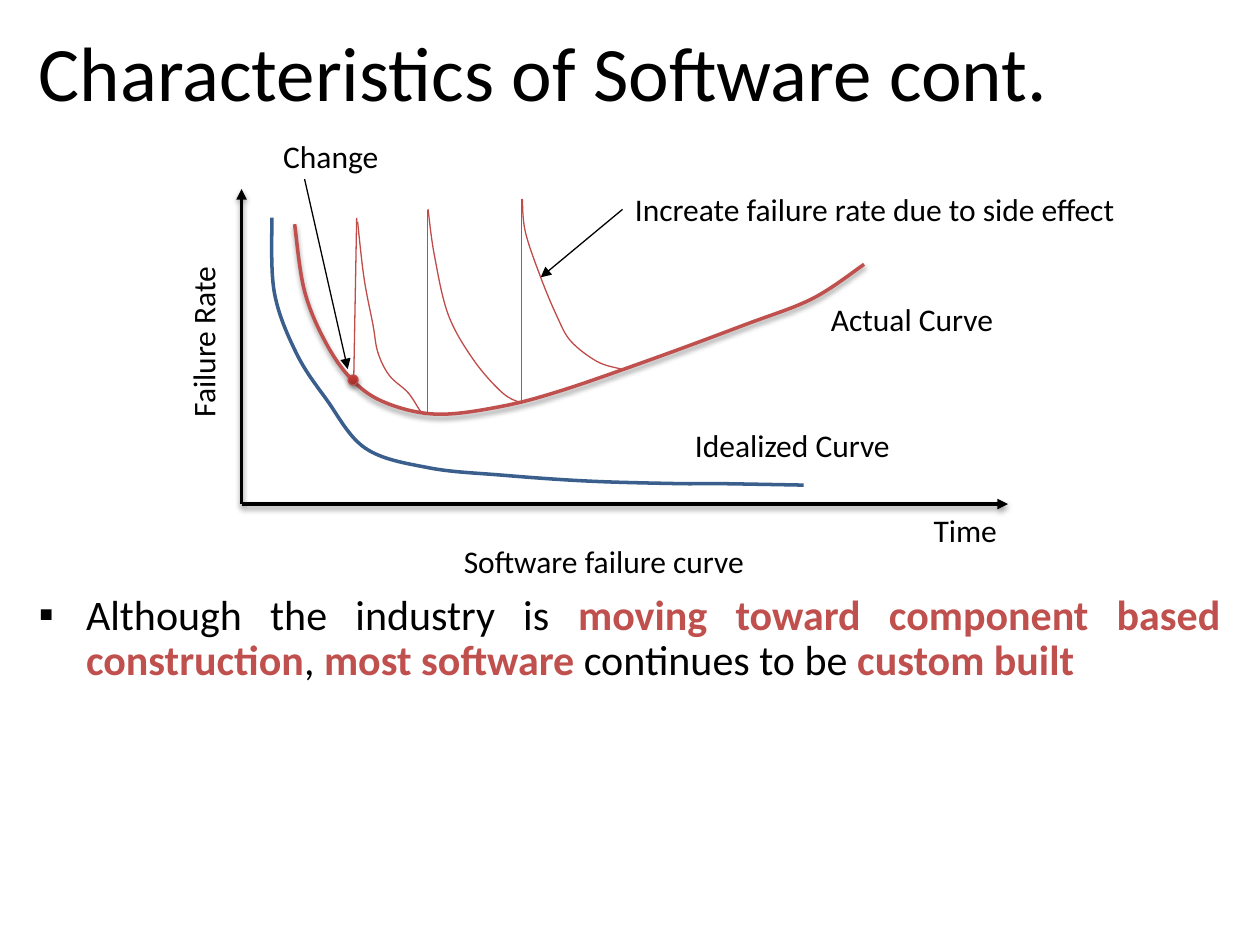
from lxml import etree
from pptx import Presentation
from pptx import util as u
from pptx.dml.color import RGBColor
from pptx.enum import shapes, text
from pptx.oxml import ns

BLACK = RGBColor(0x00, 0x00, 0x00)
BLUE = RGBColor(0x3A, 0x5F, 0x8C)
RED = RGBColor(0xC0, 0x50, 0x4D)
THIN_RED = RGBColor(0xBF, 0x4C, 0x48)
DOT_DARK = RGBColor(0x9C, 0x2F, 0x2D)
DOT_LIGHT = RGBColor(0xCE, 0x3B, 0x37)

ORIGIN = (4.87, 10.16)
CHANGE_POINT = (7.12, 7.66)
IDEALIZED = [(5.48, 4.39), (5.53, 5.89), (5.97, 7.11), (6.58, 8.05), (7.37, 9.04), (8.64, 9.43),
             (10.13, 9.58), (11.86, 9.7), (13.67, 9.75), (14.48, 9.75), (16.2, 9.78)]
ACTUAL = [(5.94, 4.52), (6.14, 5.87), (6.58, 6.93), (7.13, 7.69), (7.8, 8.13), (8.81, 8.35),
          (10.08, 8.2), (11.33, 7.87), (13.23, 7.21), (15.01, 6.55), (16.38, 6.02), (17.42, 5.33)]
# Each spike: foot and top of the rise, then the decay curve
SPIKES = [
    ((7.13, 7.69), (7.19, 4.39),
     [(7.21, 4.47), (7.34, 5.61), (7.52, 6.55), (7.62, 7.11), (7.85, 7.57), (8.23, 7.92),
      (8.51, 8.33), (8.64, 8.33)]),
    ((8.62, 8.33), (8.62, 4.24),
     [(8.63, 4.22), (8.76, 5.16), (9.04, 6.35), (9.55, 7.26), (10.13, 7.92), (10.52, 8.13)]),
    ((10.51, 8.13), (10.51, 4.01),
     [(10.53, 4.01), (10.59, 4.67), (10.9, 5.59), (11.23, 6.38), (11.51, 6.88), (12.04, 7.29),
      (12.52, 7.44)]),
]
LABELS = [  # text, left, top, width, rotation
    ("Time", 18.57, 10.17, 1.8, 0),
    ("Failure Rate", 2.31, 6.36, 3.58, 270),
    ("Increate failure rate due to side effect", 12.55, 3.71, 10.31, 0),
    ("Change", 5.46, 2.63, 2.46, 0),
    ("Software failure curve", 9.1, 10.8, 6.25, 0),
    ("Idealized Curve", 13.76, 8.46, 4.5, 0),
    ("Actual Curve", 16.5, 5.92, 3.81, 0),
]


class SlideBuilder:
    font = "Calibri"
    label_size = 18

    def __init__(self, slide):
        self.s = slide

    def run(self, p, words, size, color=BLACK, bold=False):
        r = p.add_run()
        r.text = words
        r.font.name, r.font.size, r.font.bold = self.font, u.Pt(size), bold
        r.font.color.rgb = color

    def effects(self, sp, shadow):
        """Replace inherited effects by a soft downward shadow, or by none."""
        props = sp._element.spPr
        for old in props.findall(ns.qn("a:effectLst")):
            props.remove(old)
        effects = etree.SubElement(props, ns.qn("a:effectLst"))
        if shadow:
            outer = etree.SubElement(effects, ns.qn("a:outerShdw"), blurRad=str(u.Pt(3.1)),
                                     dist=str(u.Pt(1.6)), dir="5400000", rotWithShape="0")
            color = etree.SubElement(outer, ns.qn("a:srgbClr"), val="000000")
            etree.SubElement(color, ns.qn("a:alpha"), val="38000")

    def outline(self, sp, color, width, shadow):
        sp.line.color.rgb = color
        sp.line.width = u.Pt(width)
        self.effects(sp, shadow)

    def line(self, start, end, color=BLACK, width=0.75, arrow=False, shadow=False):
        sp = self.s.shapes.add_connector(shapes.MSO_CONNECTOR.STRAIGHT,
                                         *(u.Cm(v) for v in (*start, *end)))
        self.outline(sp, color, width, shadow)
        if arrow:
            etree.SubElement(sp.line._get_or_add_ln(), ns.qn("a:tailEnd"), type="triangle")

    def bend(self, sp):
        """Turn the straight segments of a freeform into smooth Bezier curves."""
        nodes = list(sp._element.iter(ns.qn("a:pt")))
        pts = [(int(n.get("x")), int(n.get("y"))) for n in nodes]
        padded = [pts[0], *pts, pts[-1]]
        segments = sp._element.iter(ns.qn("a:lnTo"))
        for seg, a, b, c, d in zip(list(segments), padded, padded[1:], padded[2:], padded[3:]):
            seg.tag = ns.qn("a:cubicBezTo")
            leave = [q + (r - p) / 6 for p, q, r in zip(a, b, c)]
            arrive = [r - (s - q) / 6 for q, r, s in zip(b, c, d)]
            for i, (x, y) in enumerate((leave, arrive)):
                seg.insert(i, etree.Element(ns.qn("a:pt"), x=str(round(x)), y=str(round(y))))

    def curve(self, points, color, width=0.75, shadow=False):
        first, *rest = [(u.Cm(x), u.Cm(y)) for x, y in points]
        builder = self.s.shapes.build_freeform(*first)
        builder.add_line_segments(rest, close=False)
        sp = builder.convert_to_shape()
        self.bend(sp)
        sp.fill.background()
        self.outline(sp, color, width, shadow)

    def dot(self, center, size):
        left, top = (u.Cm(v - size / 2) for v in center)
        sp = self.s.shapes.add_shape(shapes.MSO_SHAPE.OVAL, left, top, u.Cm(size), u.Cm(size))
        sp.fill.gradient()
        sp.fill.gradient_angle = 90
        for stop, color in zip(sp.fill.gradient_stops, (DOT_DARK, DOT_LIGHT)):
            stop.color.rgb = color
        self.outline(sp, THIN_RED, 0.75, True)

    def label(self, words, left, top, width, rotation):
        sp = self.s.shapes.add_textbox(u.Cm(left), u.Cm(top), u.Cm(width), u.Cm(1.03))
        sp.rotation = rotation
        tf = sp.text_frame
        tf.word_wrap = False
        tf.auto_size = text.MSO_AUTO_SIZE.SHAPE_TO_FIT_TEXT
        self.run(tf.paragraphs[0], words, self.label_size)

    def placeholder(self, sp, top, height, anchor):
        """Move a placeholder and return its first paragraph."""
        sp.left, sp.top, sp.width, sp.height = (u.Cm(v) for v in (0.53, top, 24.33, height))
        tf = sp.text_frame
        tf.word_wrap = True
        tf.auto_size = text.MSO_AUTO_SIZE.NONE
        tf.vertical_anchor = anchor
        return tf.paragraphs[0]

    def title(self, words):
        p = self.placeholder(self.s.shapes.title, 0.3, 2.24, text.MSO_ANCHOR.MIDDLE)
        p.alignment = text.PP_ALIGN.LEFT
        self.run(p, words, 44)

    def bullet(self, runs):
        p = self.placeholder(self.s.placeholders[1], 11.85, 2.18, text.MSO_ANCHOR.TOP)
        props = p._p.get_or_add_pPr()
        props.set("marL", str(u.Cm(0.95)))
        props.set("indent", str(u.Cm(-0.95)))
        color = etree.SubElement(props, ns.qn("a:buClr"))
        etree.SubElement(color, ns.qn("a:srgbClr"), val="000000")
        etree.SubElement(props, ns.qn("a:buFont"), typeface=self.font)
        etree.SubElement(props, ns.qn("a:buChar"), char="▪")
        p.alignment = text.PP_ALIGN.JUSTIFY
        p.line_spacing = 0.9
        p.space_before = u.Pt(0)
        for words, strong in runs:
            self.run(p, words, 24, RED if strong else BLACK, strong)


def main():
    prs = Presentation()
    prs.slide_width, prs.slide_height = u.Cm(25.4), u.Cm(19.05)
    b = SlideBuilder(prs.slides.add_slide(prs.slide_layouts[1]))

    b.title("Characteristics of Software cont.")
    for end in ((ORIGIN[0], 3.81), (20.32, ORIGIN[1])):
        b.line(ORIGIN, end, width=2, arrow=True, shadow=True)
    b.curve(IDEALIZED, BLUE, 2)
    b.curve(ACTUAL, RED, 2, shadow=True)
    for foot, top, decay in SPIKES:
        b.line(foot, top, THIN_RED)
        b.curve(decay, THIN_RED)
    b.dot(CHANGE_POINT, 0.2)
    for label in LABELS:
        b.label(*label)
    b.line((12.55, 4.22), (10.9, 5.59), arrow=True)
    b.line((6.14, 3.61), (7.01, 7.44), arrow=True)
    b.bullet([
        ("Although the industry is ", False),
        ("moving toward component based construction", True),
        (", ", False),
        ("most software ", True),
        ("continues to be ", False),
        ("custom built", True),
    ])
    prs.save("out.pptx")


if __name__ == "__main__":
    main()
